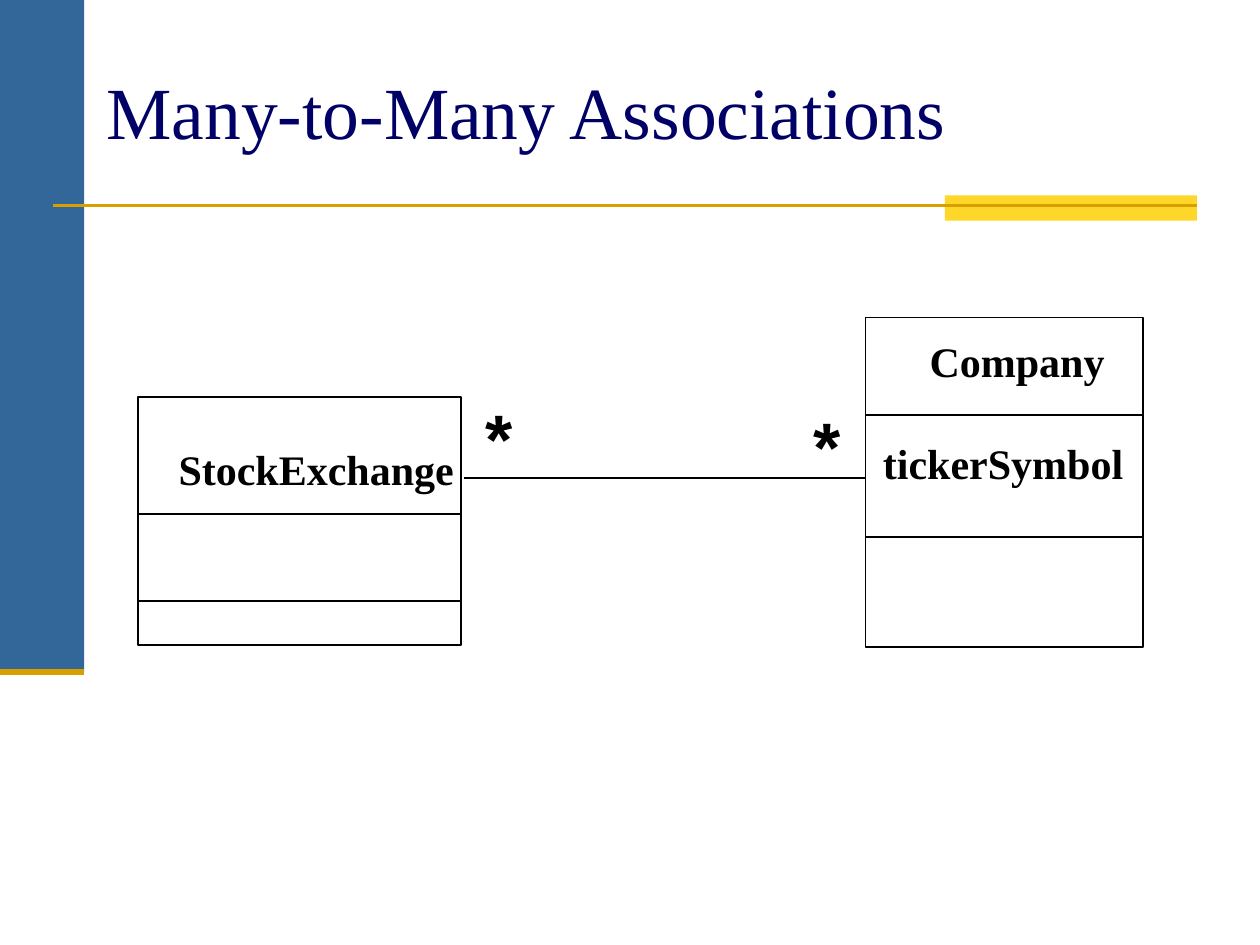
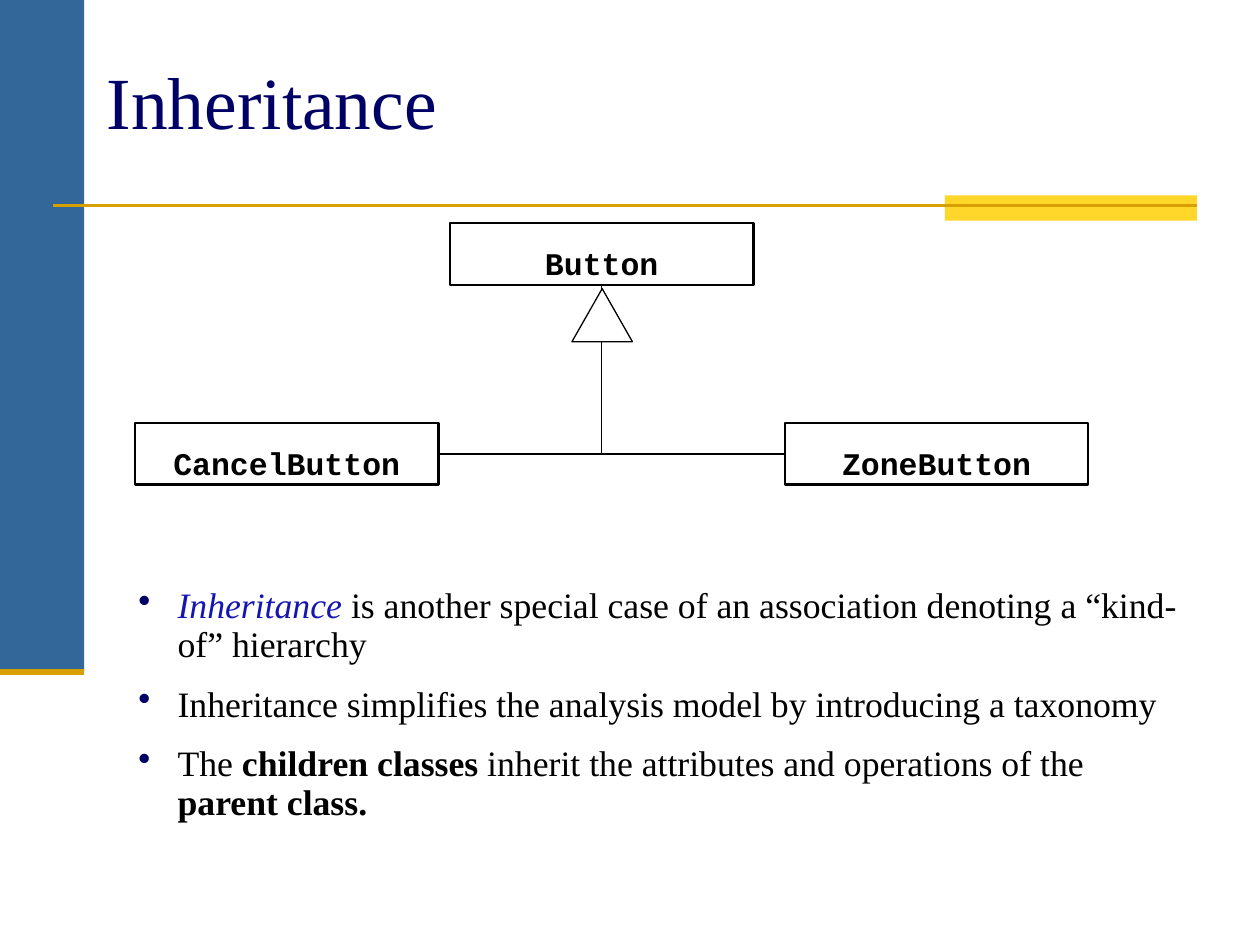
"""Build two slides on class associations and inheritance."""
from lxml import etree
from pptx import Presentation
from pptx.dml.color import RGBColor
from pptx.enum.shapes import MSO_CONNECTOR, MSO_SHAPE
from pptx.enum.text import MSO_ANCHOR, PP_ALIGN
from pptx.oxml.ns import qn
from pptx.util import Cm, Pt

RECT = MSO_SHAPE.RECTANGLE
TRIANGLE = MSO_SHAPE.ISOSCELES_TRIANGLE
STRAIGHT = MSO_CONNECTOR.STRAIGHT
TOP, MIDDLE, BOTTOM = MSO_ANCHOR.TOP, MSO_ANCHOR.MIDDLE, MSO_ANCHOR.BOTTOM
CENTER = PP_ALIGN.CENTER
SERIF, SANS, MONO = "Times New Roman", "Arial", "Courier New"
COLORS = {
    "band": "336699", "tab": "FFD72B", "rule": "D89F00", "title": "000066",
    "term": "1615B1", "ink": "000000", "paper": "FFFFFF",
}


def color(name):
    return RGBColor.from_string(COLORS[name])


class Deck:
    """Hold the shared style and the current slide."""

    def __init__(self):
        self.file = Presentation()
        self.file.slide_width, self.file.slide_height = Cm(25.4), Cm(19.05)
        self.slide = None

    def start(self, title, top):
        self.slide = self.file.slides.add_slide(self.file.slide_layouts[6])
        self.shape(0, 0, 1.7, 13.54, fill="band", line=None)
        self.shape(19.05, 3.94, 5.08, 0.51, fill="tab", line=None)
        self.line(1.07, 4.14, 24.13, 4.14, 1.5, "rule")
        self.line(0, 13.54, 1.7, 13.54, 3.5, "rule")
        self.text(title, 1.9, top, 21.59, 3.18, 42, tone="title", bold=False,
                  anchor=MIDDLE, wrap=True)

    def shape(self, x, y, w, h, kind=RECT, fill=None, line="ink", width=1):
        shape = self.slide.shapes.add_shape(kind, Cm(x), Cm(y), Cm(w), Cm(h))
        shape.shadow.inherit = False
        if fill:
            shape.fill.solid()
            shape.fill.fore_color.rgb = color(fill)
        else:
            shape.fill.background()
        if line:
            shape.line.color.rgb = color(line)
            shape.line.width = Pt(width)
        else:
            shape.line.fill.background()
        return shape

    def line(self, x1, y1, x2, y2, width=1, tone="ink"):
        line = self.slide.shapes.add_connector(
            STRAIGHT, Cm(x1), Cm(y1), Cm(x2), Cm(y2))
        line.line.color.rgb = color(tone)
        line.line.width = Pt(width)
        etree.SubElement(line._element.spPr, qn("a:effectLst"))
        return line

    def font(self, para, size, face=SERIF, tone="ink", bold=None):
        para.font.size, para.font.name, para.font.bold = Pt(size), face, bold
        para.font.color.rgb = color(tone)

    def text(self, words, x, y, w, h, size, face=SERIF, tone="ink", bold=True,
             anchor=TOP, wrap=False):
        frame = self.slide.shapes.add_textbox(
            Cm(x), Cm(y), Cm(w), Cm(h)).text_frame
        frame.word_wrap, frame.vertical_anchor = wrap, anchor
        para = frame.paragraphs[0]
        para.text = words
        self.font(para, size, face, tone, bold)

    def split(self, x, y, w, h, rows):
        self.shape(x, y, w, h)
        for row in rows:
            self.line(x, row, x + w, row)

    def node(self, name, x, y):
        node = self.shape(x, y, 6.12, 1.24, width=1.25)
        frame = node.text_frame
        frame.margin_left = frame.margin_right = frame.margin_top = 0
        frame.margin_bottom = Cm(0.05)
        frame.word_wrap, frame.vertical_anchor = False, BOTTOM
        para = frame.paragraphs[0]
        para.text, para.alignment = name, CENTER
        self.font(para, 18, MONO, bold=True)
        return node

    def bullets(self, items, x, y, w, h):
        frame = self.slide.shapes.add_textbox(
            Cm(x), Cm(y), Cm(w), Cm(h)).text_frame
        frame.word_wrap = True
        for i, item in enumerate(items):
            para = frame.add_paragraph() if i else frame.paragraphs[0]
            para.line_spacing = 0.9
            para.space_before = para.space_after = Pt(6)
            props = para._p.get_or_add_pPr()
            props.set("marL", str(Cm(0.79)))
            props.set("indent", str(-Cm(0.79)))
            tint = etree.SubElement(props, qn("a:buClr"))
            etree.SubElement(tint, qn("a:srgbClr"), val=COLORS["title"])
            etree.SubElement(props, qn("a:buChar"), char="•")
            self.font(para, 20.4)
            for words, style in item:
                run = para.add_run()
                run.text = words
                if style == "term":
                    run.font.italic = True
                    run.font.color.rgb = color("term")
                elif style == "bold":
                    run.font.bold = True


def many(deck):
    deck.start("Many-to-Many Associations", 0.64)
    deck.split(2.79, 8, 6.5, 5, [10.36, 12.12])
    deck.split(17.45, 6.4, 5.59, 6.65, [8.36, 10.82])
    for name, x, y, w in [("StockExchange", 3.35, 8.81, 6.05),
                          ("Company", 18.49, 6.63, 4.04),
                          ("tickerSymbol", 17.55, 8.69, 5.36)]:
        deck.text(name, x, y, w, 1.27, 24)
    deck.line(9.35, 9.63, 17.45, 9.63)
    for x, y in [(16.15, 7.98), (9.53, 7.82)]:
        deck.text("*", x, y, 1.04, 1.93, 40, SANS)


def inherit(deck):
    deck.start("Inheritance", 0.43)
    deck.bullets([
        [("Inheritance ", "term"),
         ("is another special case of an association denoting a "
          "“kind-of” hierarchy", None)],
        [("Inheritance simplifies the analysis model by introducing "
          "a taxonomy", None)],
        [("The ", None), ("children classes", "bold"),
         (" inherit the attributes and operations of the ", None),
         ("parent class.", "bold")],
    ], 2.54, 11.73, 21.59, 5.31)
    base = deck.node("Button", 9.07, 4.5)
    left = deck.node("CancelButton", 2.72, 8.53)
    right = deck.node("ZoneButton", 15.82, 8.53)
    stem = deck.line(12.13, 5.74, 12.13, 9.15, 0.75)
    stem.begin_connect(base, 2)
    bar = deck.line(8.84, 9.15, 15.82, 9.15, 0.75)
    bar.begin_connect(left, 3)
    bar.end_connect(right, 1)
    deck.shape(11.53, 5.82, 1.22, 1.07, TRIANGLE, "paper", width=0.75)


def main():
    deck = Deck()
    many(deck)
    inherit(deck)
    deck.file.save("out.pptx")


if __name__ == "__main__":
    main()
